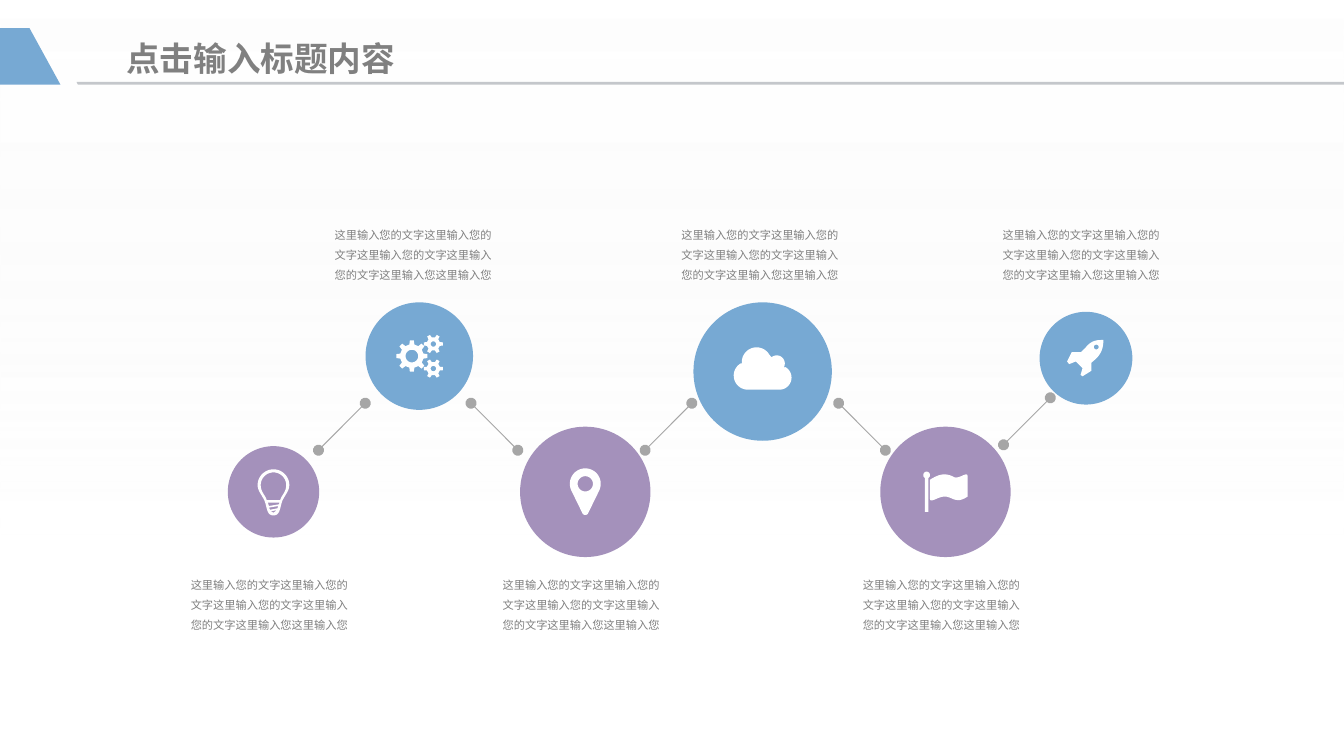
from math import cos, radians, sin
from lxml.etree import SubElement as Sub
from pptx import Presentation
from pptx.dml.color import RGBColor
from pptx.enum.shapes import MSO_CONNECTOR as Link, MSO_SHAPE as Kind
from pptx.enum.text import MSO_ANCHOR as Anchor, MSO_AUTO_SIZE as Fit
from pptx.oxml.ns import qn
from pptx.util import Inches, Pt

COLORS = {
    "blue": "77A9D3", "plum": "A491BB", "rule": "C4C7CB", "line": "A6A6A6",
    "text": "808080", "white": "FFFFFF", "haze": "F2F2F2",
}
BODY = "这里输入您的文字" * 4 + "这里输入您" * 2


def arc(x, y, r, a=0, b=360, n=32):
    turns = [radians(a + (b - a) * i / n) for i in range(n + 1)]
    return [(x + r * cos(t), y + r * sin(t)) for t in turns]


def bend(*ends, n=12):
    def at(t):
        mix = ((1 - t) ** 3, 3 * t * (1 - t) ** 2, 3 * t * t * (1 - t), t ** 3)
        return tuple(sum(m * p[k] for m, p in zip(mix, ends)) for k in (0, 1))
    return [at(i / n) for i in range(n + 1)]


def flip(points):
    return [(-x, y) for x, y in reversed(points)]


def gear(x, y, tip, root, hole, teeth):
    step = 360 / teeth
    rim = []
    for i in range(teeth):
        for r, turn in ((root, -0.27), (tip, -0.16), (tip, 0.16), (root, 0.27)):
            t = radians((i + turn) * step)
            rim.append((x + r * cos(t), y + r * sin(t)))
    return [rim, arc(x, y, hole)]


def bulb():
    side = bend((1.18, -0.5), (1.18, 0), (0.7, 0.4), (0.6, 0.85))
    side += bend((0.6, 0.85), (0.45, 1.45), (0.4, 1.75), (0, 1.75))
    core = bend((0.95, -0.5), (0.95, 0), (0.6, 0.25), (0.5, 0.62))
    return [
        arc(0, -0.5, 1.18, 180, 360) + side + flip(side),
        arc(0, -0.5, 0.95, 180, 360) + core + flip(core),
        [(-0.42, 0.8), (0.45, 0.8), (0.4, 0.93), (-0.33, 1.05)],
        [(-0.33, 1.17), (0.35, 1.06), (0.3, 1.22), (-0.25, 1.33)],
        [(-0.2, 1.45), (0.25, 1.36), (0, 1.55)],
    ]


def pin():
    edge = arc(0, -0.6, 1.15, 155, 385) + arc(0, 1.48, 0.24, 25, 155)
    return [edge, arc(0, -0.6, 0.57)]


def cloud():
    return [arc(-1.1, 0.3, 1.05, 90, 240) + arc(-0.45, -0.7, 1.1, 175, 330)
            + arc(1.05, -0.6, 0.6, 230, 390) + arc(1.25, 0.45, 0.9, -60, 90)]


def flag():
    pole = arc(-1.4, -1.25, 0.25, 120, 420) + [(-1.27, 1.48), (-1.53, 1.48)]
    cloth = bend((-1.15, -0.9), (-0.4, -1.4), (0.1, -1.4), (0.7, -1.07))
    cloth += bend((0.7, -1.07), (1.1, -1), (1.65, -1.55), (1.65, -1.15))
    cloth += bend((1.65, 0.35), (0.8, 0.95), (0.5, 0.35), (-0.05, 0.35))
    cloth += bend((-0.05, 0.35), (-0.6, 0.35), (-1.15, 0.9), (-1.15, 0.5))
    return [pole, cloth]


def rocket():
    nose = bend((1.3, -1.35), (1.3, -0.75), (1.15, -0.35), (0.75, 0.05))
    tail = [(0.4, 0.35), (0.4, 0.95), (-0.25, 1.35), (-0.4, 1.25),
            (-0.25, 0.75), (-0.75, 0.25), (-1.25, 0.45), (-1.4, 0.25),
            (-1.05, -0.45), (-0.35, -0.45)]
    back = bend((-0.05, -0.75), (0.35, -1.25), (0.65, -1.35), (1.3, -1.35))
    return [nose + tail + back, arc(0.77, -0.82, 0.18)]


def gears():
    small = [c for y in (-0.9, 0.93) for c in gear(1.05, y, 0.72, 0.5, 0.2, 6)]
    return gear(-0.55, 0, 1.17, 0.88, 0.47, 8) + small


class Deck:
    def __init__(self):
        self.file = Presentation()
        self.file.slide_width = Inches(10)
        self.file.slide_height = Inches(5.625)
        self.cell = self.file.slide_width / 100
        self.slide = self.file.slides.add_slide(self.file.slide_layouts[6])
        self.shapes = self.slide.shapes

    def size(self, *cells):
        return [round(c * self.cell) for c in cells]

    def color(self, name):
        return RGBColor.from_string(COLORS[name])

    def paint(self, shape, name):
        shape.shadow.inherit = False
        shape.line.fill.background()
        shape.fill.solid()
        shape.fill.fore_color.rgb = self.color(name)

    def fade(self):
        shape = self.shapes.add_shape(Kind.RECTANGLE, *self.size(0, 0, 100, 56.25))
        self.paint(shape, "white")
        shape.fill.gradient()
        shape.fill.gradient_angle = 270
        marks = (("white", 0, 55000), ("haze", 0.71, 0))
        for stop, (name, place, alpha) in zip(shape.fill.gradient_stops, marks):
            stop.color.rgb = self.color(name)
            stop.position = place
        for tone, mark in zip(shape.element.iter(qn("a:srgbClr")), marks):
            Sub(tone, qn("a:alpha"), val=str(mark[2]))

    def outline(self, paths, name, x=0, y=0, home=None):
        pen = None
        for path in paths:
            points = [self.size(x + a, y + b) for a, b in path]
            if pen is None:
                pen = (home or self.shapes).build_freeform(*points[0], scale=1)
            else:
                pen.move_to(*points[0])
            pen.add_line_segments(points[1:], close=True)
        self.paint(pen.convert_to_shape(), name)

    def badge(self, x, y, wide, name, icon):
        home = self.shapes.add_group_shape().shapes
        box = self.size(x - wide / 2, y - wide / 2, wide, wide)
        self.paint(home.add_shape(Kind.OVAL, *box), name)
        self.outline(icon, "white", x, y, home)

    def link(self, x, y, rise):
        ends = self.size(x, y, x + 3.48, y + rise)
        line = self.shapes.add_connector(Link.STRAIGHT, *ends)
        line.line.color.rgb = self.color("line")
        line.line.width = Pt(0.5)
        props = line.element.spPr
        for end in ("a:headEnd", "a:tailEnd"):
            Sub(props.find(qn("a:ln")), qn(end), type="oval")
        Sub(props, qn("a:effectLst"))

    def text(self, words, box, font, size, bold=False, pad=0, space=None):
        shape = self.shapes.add_textbox(*self.size(*box))
        frame = shape.text_frame
        frame.word_wrap = space is not None
        frame.margin_left = frame.margin_right = 0
        frame.margin_top = frame.margin_bottom = self.size(pad)[0]
        if space:
            frame.auto_size = Fit.SHAPE_TO_FIT_TEXT
        else:
            frame.vertical_anchor = Anchor.MIDDLE
        par = frame.paragraphs[0]
        par.text = words
        par.line_spacing = space
        par.font.size = Pt(size)
        par.font.bold = bold
        par.font.color.rgb = self.color("text")
        par.font.name = font
        Sub(par._p.pPr.find(qn("a:defRPr")), qn("a:ea"), typeface=font)


def main():
    deck = Deck()
    deck.fade()
    deck.outline([[(5.7, 6.1), (100, 6.1), (100, 6.3), (5.8, 6.3)]], "rule")
    deck.outline([[(0, 2.1), (2.2, 2.1), (4.5, 6.3), (0, 6.3)]], "blue")
    deck.text("点击输入标题内容", (9.4, 2.2, 23.3, 4.2),
              "Noto Sans CJK SC", 18, bold=True, pad=0.5)
    badges = [
        (20.35, 36.6, 6.8, "plum", bulb()), (31.2, 26.5, 8, "blue", gears()),
        (43.55, 36.6, 9.7, "plum", pin()), (56.75, 27.65, 10.3, "blue", cloud()),
        (70.35, 36.6, 9.7, "plum", flag()), (80.8, 26.65, 6.9, "blue", rocket()),
    ]
    for badge in badges:
        deck.badge(*badge)
    for x, y, rise in ((23.7, 33.5, -3.5), (35.05, 30, 3.5), (48, 33.5, -3.5),
                       (62.4, 30, 3.5), (74.67, 33.1, -3.5)):
        deck.link(x, y, rise)
    for i, x in enumerate((14.2, 24.9, 37.4, 50.7, 64.2, 74.6)):
        top = 16.5 if i % 2 else 42.5
        deck.text(BODY, (x, top, 12.3, 4.3), "Arial", 6, space=1.5)
    deck.file.save("out.pptx")


if __name__ == "__main__":
    main()
